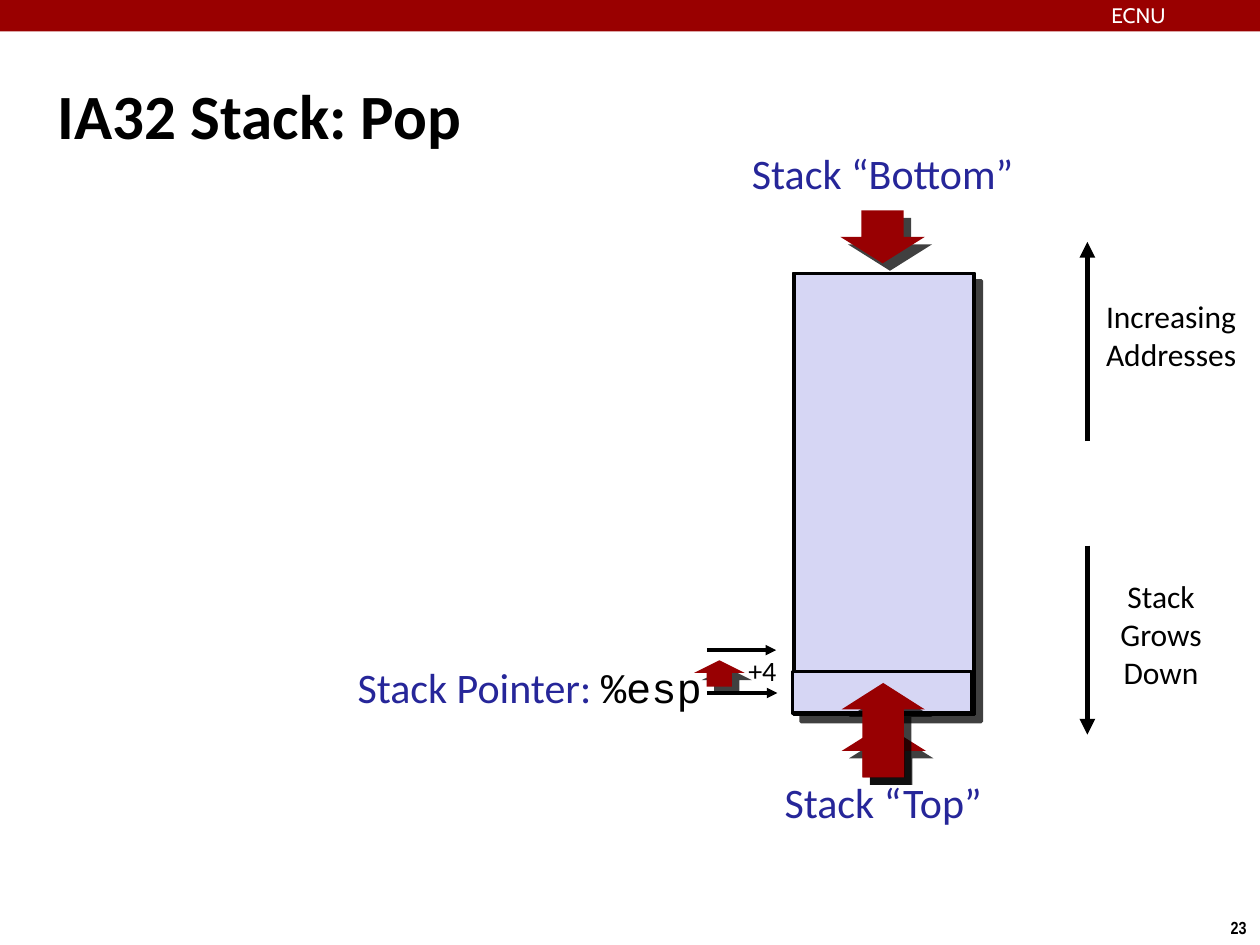
from lxml import etree
from pptx import Presentation
from pptx.dml.color import RGBColor
from pptx.enum import shapes, text
from pptx.oxml import ns
from pptx.util import Inches, Pt

BLACK = RGBColor(0, 0, 0)
WHITE = RGBColor(255, 255, 255)
BLUE = RGBColor(0x26, 0x26, 0x99)
LAVENDER = RGBColor(0xD6, 0xD6, 0xF4)
RED = RGBColor(0x98, 0, 0x02)
BANNER = RGBColor(0x99, 0, 0)
CENTER, RIGHT, LEFT = text.PP_ALIGN.CENTER, text.PP_ALIGN.RIGHT, text.PP_ALIGN.LEFT

TITLE = "IA32 Stack: Pop"
STACK = (6.3, 2.17, 1.43, 3.5)
POPPED = (6.29, 5.33, 1.42, 0.33)
LABELS = [
    ((2.69, 5.25, 2.88, 0.5), [[("Stack Pointer: ", {}), ("%esp", {"font": "Courier New", "color": BLACK})]],
     {"size": 24, "color": BLUE, "align": RIGHT}),
    ((8.77, 4.58, 0.89, 1), ["Stack Grows", "Down"], {"wrap": True, "fill": WHITE}),
    ((8.73, 2.36, 1.13, 0.69), ["Increasing", "Addresses"], {"fill": WHITE}),
    ((6.16, 6.16, 1.7, 0.49), ["Stack “Top”"], {"size": 24, "color": BLUE}),
    ((5.89, 1.17, 2.23, 0.49), ["Stack “Bottom”"], {"size": 24, "color": BLUE}),
    ((9.66, 7.23, 0.34, 0.27), ["23"],
     {"size": 10, "font": "Arial Narrow", "bold": True, "inset": (0.1, 0.05)}),
]
ADDRESS_ARROWS = [((8.63, 4.33), (8.63, 5.83)), ((8.63, 3.5), (8.63, 1.92))]

deck = Presentation()
deck.slide_width, deck.slide_height = Inches(10), Inches(7.5)
slide = deck.slides.add_slide(deck.slide_layouts[5])


def write(frame, paragraphs, size=18, font="Calibri", color=BLACK, bold=False,
          align=CENTER, wrap=False, inset=(0, 0), anchor=text.MSO_ANCHOR.TOP):
    frame.word_wrap = wrap
    frame.auto_size = text.MSO_AUTO_SIZE.NONE
    frame.vertical_anchor = anchor
    frame.margin_left = frame.margin_right = Inches(inset[0])
    frame.margin_top = frame.margin_bottom = Inches(inset[1])
    for index, content in enumerate(paragraphs):
        paragraph = frame.add_paragraph() if index else frame.paragraphs[0]
        paragraph.alignment = align
        for words, style in [(content, {})] if isinstance(content, str) else content:
            run = paragraph.add_run()
            run.text = words
            run.font.size, run.font.bold = Pt(size), bold
            run.font.name = style.get("font", font)
            run.font.color.rgb = style.get("color", color)


def label(box, paragraphs, fill=None, **style):
    area = slide.shapes.add_textbox(*map(Inches, box))
    if fill is not None:
        area.fill.solid()
        area.fill.fore_color.rgb = fill
    write(area.text_frame, paragraphs, **style)


def paint(shape, fill, outlined=False, shadowed=False):
    shape.fill.solid()
    shape.fill.fore_color.rgb = fill
    if outlined:
        shape.line.color.rgb = BLACK
        shape.line.width = Pt(2)
    else:
        shape.line.fill.background()
    shape.shadow.inherit = False
    if shadowed:
        effects = shape._element.spPr.find(ns.qn("a:effectLst"))
        shadow = etree.SubElement(effects, ns.qn("a:outerShdw"), dist=str(Pt(6)),
                                  dir="2700000", algn="tl", rotWithShape="0")
        tint = etree.SubElement(shadow, ns.qn("a:srgbClr"), val="000000")
        etree.SubElement(tint, ns.qn("a:alpha"), val="75000")


def rectangle(box, fill, **style):
    paint(slide.shapes.add_shape(shapes.MSO_SHAPE.RECTANGLE, *map(Inches, box)), fill, **style)


def block_arrow(left, top, width, height, head, up=True):
    tip, tail = (top, top + height) if up else (top + height, top)
    neck = tip + head if up else tip - head
    inner, outer = left + width / 4, left + width * 3 / 4
    points = [(left, neck), (inner, neck), (inner, tail), (outer, tail),
              (outer, neck), (left + width, neck), (left + width / 2, tip)]
    corners = [(Inches(x), Inches(y)) for x, y in points]
    builder = slide.shapes.build_freeform(*corners[0])
    builder.add_line_segments(corners[1:], close=True)
    paint(builder.convert_to_shape(), RED, shadowed=True)


def line(start, end, width=2, arrow=True):
    stroke = slide.shapes.add_connector(shapes.MSO_CONNECTOR.STRAIGHT, *map(Inches, start + end))
    stroke.line.color.rgb = BLACK
    stroke.line.width = Pt(width)
    if arrow:
        etree.SubElement(stroke.line._get_or_add_ln(), ns.qn("a:tailEnd"), type="triangle")
    etree.SubElement(stroke._element.spPr, ns.qn("a:effectLst"))


title = slide.shapes.title
title.left, title.top, title.width, title.height = map(Inches, (0.42, 0.28, 9.17, 1.25))
write(title.text_frame, [TITLE], size=36, bold=True, align=LEFT, wrap=True,
      inset=(0.04, 0.04), anchor=text.MSO_ANCHOR.MIDDLE)

block_arrow(6.68, 5.75, 0.67, 0.42, head=0.21)
line((5.61, 5.5), (6.17, 5.5))
rectangle(STACK, LAVENDER, outlined=True, shadowed=True)
for start, end in ADDRESS_ARROWS:
    line(start, end, width=3)
for box, paragraphs, style in LABELS:
    label(box, paragraphs, **style)
block_arrow(6.67, 1.67, 0.67, 0.42, head=0.21, up=False)
rectangle((0, 0, 10, 0.25), BANNER)
label((8.82, 0.02, 1.44, 0.19), ["ECNU"], size=12, font="Cabin", color=WHITE, align=LEFT, wrap=True)
rectangle(STACK, LAVENDER, outlined=True)
line((6.29, 5.33), (7.71, 5.33), arrow=False)
line((5.61, 5.16), (6.16, 5.16))
label((5.89, 5.15, 0.32, 0.35), ["+4"], size=16, inset=(0.04, 0.04))
block_arrow(5.51, 5.24, 0.4, 0.21, head=0.1)
rectangle(POPPED, LAVENDER, outlined=True)
block_arrow(6.68, 5.42, 0.66, 0.75, head=0.21)

deck.save("out.pptx")
